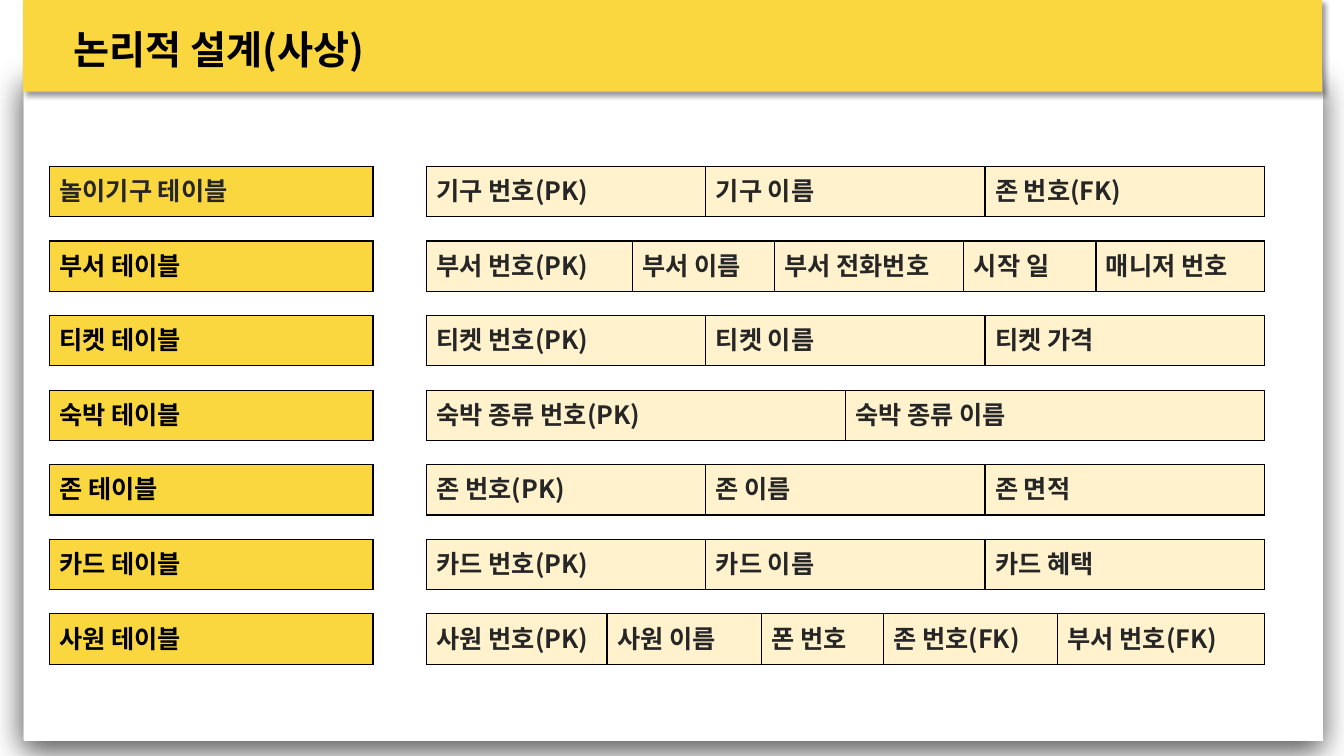
from dataclasses import dataclass

from lxml import etree
from pptx import Presentation
from pptx import util as u
from pptx.dml.color import RGBColor
from pptx.enum import shapes, text
from pptx.oxml import ns

PX = 9144
FONT = "Noto Sans CJK KR"
GOLD, CREAM, WHITE = "FBD73F", "FFF2CD", "FFFFFF"
BLACK, DARK = "000000", "262626"
TOP, STEP, HIGH = 165, 74, 50
LEFT, SIDE = 49, 321
RIGHT, SPAN = 423, 831


@dataclass
class Panel:
    x: int
    y: int
    w: int
    h: int
    fill: str
    blur: int
    dist: int
    angle: int


@dataclass
class Entity:
    name: str
    fields: list[str]
    widths: tuple[int, ...] = ()
    ink: str = BLACK


PANELS = [
    Panel(23, 74, 1288, 660, WHITE, 22, 8, 90),
    Panel(24, 75, 1288, 660, WHITE, 22, 8, 90),
    Panel(23, 0, 1288, 91, GOLD, 4, 3, 45),
]

ENTITIES = [
    Entity("놀이기구 테이블", ["기구 번호(PK)", "기구 이름", "존 번호(FK)"], ink=DARK),
    Entity("부서 테이블", ["부서 번호(PK)", "부서 이름", "부서 전화번호", "시작 일", "매니저 번호"],
           (204, 141, 188, 131, 167)),
    Entity("티켓 테이블", ["티켓 번호(PK)", "티켓 이름", "티켓 가격"]),
    Entity("숙박 테이블", ["숙박 종류 번호(PK)", "숙박 종류 이름"]),
    Entity("존 테이블", ["존 번호(PK)", "존 이름", "존 면적"]),
    Entity("카드 테이블", ["카드 번호(PK)", "카드 이름", "카드 혜택"]),
    Entity("사원 테이블", ["사원 번호(PK)", "사원 이름", "폰 번호", "존 번호(FK)", "부서 번호(FK)"],
           (179, 153, 121, 173, 205)),
]


def px(*sizes: float) -> list[int]:
    return [round(size * PX) for size in sizes]


def paint(fill, color: str) -> None:
    fill.solid()
    fill.fore_color.rgb = RGBColor.from_string(color)


def add(parent, tag: str, **attrs):
    return etree.SubElement(parent, ns.qn(tag), {k: str(v) for k, v in attrs.items()})


def write(frame, words: str, size: int = 18, color: str = BLACK) -> None:
    run = frame.paragraphs[0].add_run()
    run.text = words
    run.font.size = u.Pt(size)
    run.font.bold = True
    run.font.name = FONT
    run.font.color.rgb = RGBColor.from_string(color)
    add(run.font._element, "a:ea", typeface=FONT)


def draw_panel(slide, panel: Panel) -> None:
    box = slide.shapes.add_shape(shapes.MSO_SHAPE.RECTANGLE, *px(panel.x, panel.y, panel.w, panel.h))
    paint(box.fill, panel.fill)
    box.line.fill.background()
    box.shadow.inherit = False
    effects = box._element.spPr.find(ns.qn("a:effectLst"))
    shade = add(effects, "a:outerShdw", blurRad=u.Pt(panel.blur), dist=u.Pt(panel.dist),
                dir=panel.angle * 60000, algn="t", rotWithShape=0)
    add(add(shade, "a:srgbClr", val=BLACK), "a:alpha", val=40000)


def draw_title(slide, words: str) -> None:
    frame = slide.shapes.add_textbox(*px(73, 0, 1148, 96)).text_frame
    frame.word_wrap = True
    frame.vertical_anchor = text.MSO_ANCHOR.MIDDLE
    frame.margin_left = frame.margin_right = frame.margin_top = frame.margin_bottom = 0
    write(frame, words, size=28)


def fill_cell(cell, words: str, fill: str, ink: str) -> None:
    props = cell._tc.get_or_add_tcPr()
    for edge in ("a:lnL", "a:lnR", "a:lnT", "a:lnB"):
        line = add(props, edge, w=u.Pt(1))
        add(add(line, "a:solidFill"), "a:srgbClr", val=BLACK)
    paint(cell.fill, fill)
    write(cell.text_frame, words, color=ink)


def draw_row(slide, x: int, y: int, widths: tuple[float, ...], words: list[str],
             fill: str, ink: str) -> None:
    frame = slide.shapes.add_table(1, len(words), *px(x, y, sum(widths), HIGH))
    table = frame.table
    table.first_row = table.horz_banding = False
    for col, width in zip(table.columns, px(*widths)):
        col.width = width
    for cell, label in zip(table.rows[0].cells, words):
        fill_cell(cell, label, fill, ink)


def main() -> None:
    deck = Presentation()
    deck.slide_width, deck.slide_height = px(1333, 750)
    slide = deck.slides.add_slide(deck.slide_layouts[6])
    for panel in PANELS:
        draw_panel(slide, panel)
    draw_title(slide, "논리적 설계(사상)")
    for i, entity in enumerate(ENTITIES):
        y = TOP + i * STEP
        count = len(entity.fields)
        widths = entity.widths or (SPAN / count,) * count
        draw_row(slide, LEFT, y, (SIDE,), [entity.name], GOLD, entity.ink)
        draw_row(slide, RIGHT, y, widths, entity.fields, CREAM, DARK)
    deck.save("out.pptx")


if __name__ == "__main__":
    main()
